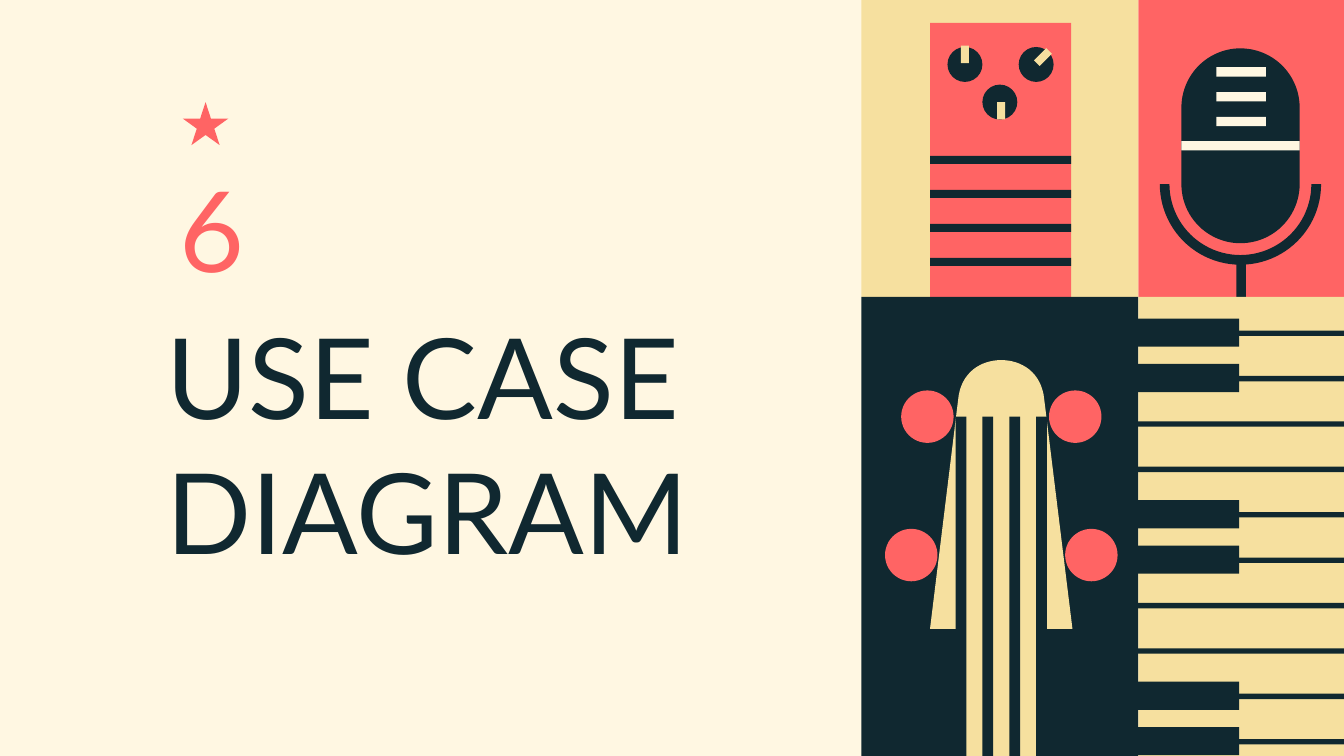
from pptx import Presentation
from pptx.dml.color import RGBColor
from pptx.enum.shapes import MSO_SHAPE as Shape
from pptx.enum.text import MSO_ANCHOR as Anchor
from pptx.util import Inches, Pt

CREAM = RGBColor(0xFF, 0xF7, 0xE2)
SAND = RGBColor(0xF6, 0xE0, 0x9F)
CORAL = RGBColor(0xFF, 0x64, 0x64)
NAVY = RGBColor(0x10, 0x28, 0x30)


class Poster:
    font = "Lato"
    size = Pt(60)

    def __init__(self, slide):
        self.slide = slide
        slide.background.fill.solid()
        slide.background.fill.fore_color.rgb = CREAM

    def paint(self, shape, color):
        shape.shadow.inherit = False
        shape.fill.solid()
        shape.fill.fore_color.rgb = color
        shape.line.fill.background()
        return shape

    def preset(self, kind, left, top, width, height, color, adjustments=()):
        box = [Inches(v) for v in (left, top, width, height)]
        shape = self.paint(self.slide.shapes.add_shape(kind, *box), color)
        for index, value in enumerate(adjustments):
            shape.adjustments[index] = value
        return shape

    def block(self, left, top, width, height, color):
        return self.preset(Shape.RECTANGLE, left, top, width, height, color)

    def disc(self, x, y, diameter, color):
        radius = diameter / 2
        self.preset(Shape.OVAL, x - radius, y - radius, diameter, diameter, color)

    def outline(self, points, color):
        corners = [(Inches(x), Inches(y)) for x, y in points]
        builder = self.slide.shapes.build_freeform(*corners[0], scale=1.0)
        builder.add_line_segments(corners[1:], close=True)
        self.paint(builder.convert_to_shape(), color)

    def text(self, left, top, width, height, lines, color, indent, anchor, spacing):
        box = self.slide.shapes.add_textbox(*[Inches(v) for v in (left, top, width, height)])
        frame = box.text_frame
        frame.word_wrap = True
        frame.vertical_anchor = anchor
        frame.margin_left = frame.margin_right = Inches(0.1)
        frame.margin_top = frame.margin_bottom = Inches(0.1)
        for index, line in enumerate(lines):
            paragraph = frame.add_paragraph() if index else frame.paragraphs[0]
            paragraph.line_spacing = spacing
            paragraph._p.get_or_add_pPr().set("marL", str(Inches(indent)))
            run = paragraph.add_run()
            run.text = line
            run.font.name = self.font
            run.font.size = self.size
            run.font.color.rgb = color


def curve(start, pull_a, pull_b, end, steps=16):
    points = []
    for step in range(steps + 1):
        t = step / steps
        weights = ((1 - t) ** 3, 3 * t * (1 - t) ** 2, 3 * t * t * (1 - t), t ** 3)
        corners = (start, pull_a, pull_b, end)
        points.append(tuple(sum(w * c[axis] for w, c in zip(weights, corners)) for axis in (0, 1)))
    return points


def draw_microphone(poster):
    poster.block(8.47, 0, 1.53, 2.21, CORAL)
    poster.preset(Shape.ROUNDED_RECTANGLE, 8.79, 0.36, 0.88, 1.45, NAVY, [0.5])
    poster.block(8.79, 1.05, 0.88, 0.07, CREAM)
    for row in range(3):
        poster.block(9.05, 0.5 + 0.37 / 2 * row, 0.37, 0.07, CREAM)
    poster.preset(Shape.BLOCK_ARC, 8.63, 0.77, 1.2, 1.2, NAVY, [0, 108, 0.06])
    poster.block(9.2, 1.94, 0.07, 0.27, NAVY)


def draw_piano(poster):
    poster.block(8.47, 2.21, 1.53, 3.42, SAND)
    gaps = [2.46 + 3.04 / 9 * index for index in range(10)]
    for top in gaps:
        poster.block(8.44, top, 1.56, 0.04, NAVY)
    for index in (0, 1, 4, 5, 8, 9):
        poster.block(8.44, gaps[index] - 0.09, 0.78, 0.21, NAVY)


def draw_amplifier(poster):
    poster.block(6.41, 0, 2.06, 2.21, SAND)
    poster.block(6.92, 0.17, 1.05, 2.04, CORAL)
    knobs = [(7.18, 0.48, 7.15, 0.34, 0), (7.71, 0.48, 7.73, 0.36, 45), (7.44, 0.76, 7.42, 0.76, 0)]
    for x, y, pointer_left, pointer_top, angle in knobs:
        poster.disc(x, y, 0.26, NAVY)
        poster.block(pointer_left, pointer_top, 0.06, 0.13, SAND).rotation = angle
    for row in range(4):
        poster.block(6.92, 1.16 + 0.76 / 3 * row, 1.05, 0.06, NAVY)


def draw_guitar(poster):
    poster.block(6.41, 2.21, 2.06, 3.42, NAVY)
    poster.block(7.17, 3.36, 0.54, 2.27, SAND)
    center = 7.45
    left_side = [(6.92, 4.68)] + curve((7.13, 2.97), (7.15, 2.77), (7.3, 2.68), (center, 2.68))
    right_side = [(2 * center - x, y) for x, y in reversed(left_side[:-1])]
    poster.outline(left_side + right_side, SAND)
    for string in range(4):
        poster.block(7.11 + 0.2 * string, 3.1, 0.08, 2.53, NAVY)
    for y, reach in ((3.1, 0.55), (4.13, 0.67)):
        for side in (-1, 1):
            poster.disc(center + side * reach, y, 0.39, CORAL)


def main():
    deck = Presentation()
    deck.slide_width = Inches(10)
    deck.slide_height = deck.slide_width * 9 // 16
    poster = Poster(deck.slides.add_slide(deck.slide_layouts[6]))
    draw_microphone(poster)
    draw_piano(poster)
    draw_amplifier(poster)
    poster.text(0.82, 1.07, 3.82, 1.24, ["6"], CORAL, 0.42, Anchor.BOTTOM, 0.9)
    draw_guitar(poster)
    poster.text(0.55, 2.19, 7.77, 3.44, ["USE CASE", "DIAGRAM"], NAVY, 0.59, Anchor.TOP, 1.0)
    poster.preset(Shape.STAR_5_POINT, 1.36, 0.76, 0.34, 0.32, CORAL)
    deck.save("out.pptx")


if __name__ == "__main__":
    main()
